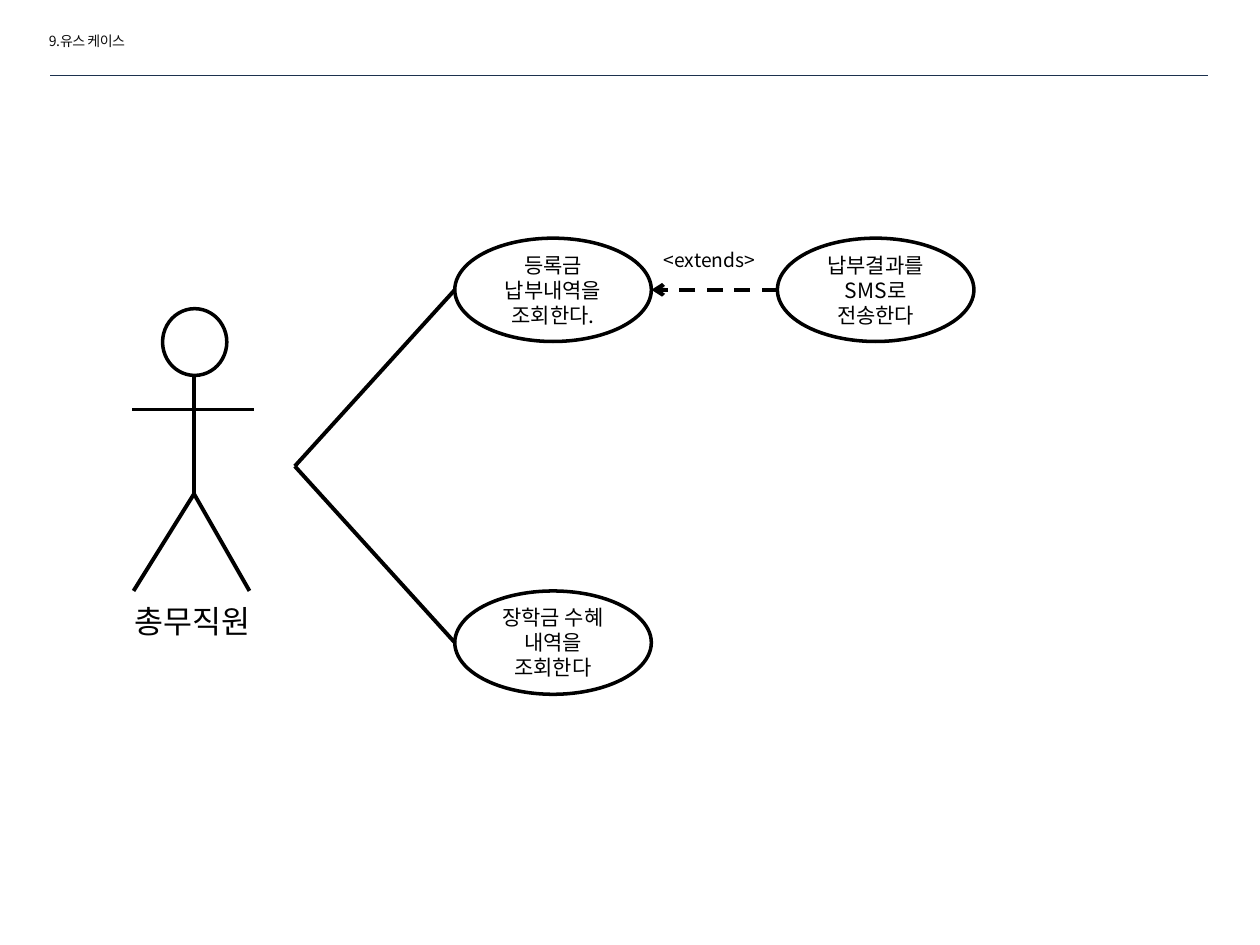
from lxml.etree import SubElement
from pptx import Presentation
from pptx.dml.color import RGBColor
from pptx.enum.dml import MSO_LINE_DASH_STYLE as Dash
from pptx.enum.shapes import MSO_CONNECTOR as Connector, MSO_SHAPE as Shape
from pptx.enum.text import MSO_ANCHOR as Anchor, PP_ALIGN as Align
from pptx.oxml.ns import qn
from pptx.util import Inches, Pt

FONT = "Noto Sans CJK KR"
BLACK = "000000"
WHITE = "FFFFFF"
CASE_WIDTH, CASE_HEIGHT = 1.56, 0.82


def color(value):
    """Turn a hex string into a colour."""
    return RGBColor.from_string(value)


def write(frame, text, size, ink=BLACK, spacing=None):
    """Fill a text frame and format its runs and line breaks."""
    frame.word_wrap = True
    frame.text = text
    for para in frame.paragraphs:
        for span in para.runs:
            span.font.size = Pt(size)
            span.font.color.rgb = color(ink)
            span.font.name = FONT
            props = span.font._element
            SubElement(props, qn("a:ea"), typeface=FONT)
            if spacing is not None:
                props.set("spc", str(round(spacing * 100)))
        for line_break in para._p.findall(qn("a:br")):
            SubElement(line_break, qn("a:rPr"), sz=str(size * 100))


def add_label(page, box, text, size, ink=BLACK, spacing=None):
    """Place a text box."""
    label = page.shapes.add_textbox(*map(Inches, box))
    write(label.text_frame, text, size, ink, spacing)


def add_line(shapes, start, end, width=2.25, ink=BLACK):
    """Draw a straight line without a shadow."""
    line = shapes.add_connector(Connector.STRAIGHT, *map(Inches, (*start, *end)))
    line.line.color.rgb = color(ink)
    line.line.width = Pt(width)
    SubElement(line._element.spPr, qn("a:effectLst"))
    return line


def add_ellipse(shapes, box):
    """Draw an outlined ellipse."""
    ellipse = shapes.add_shape(Shape.OVAL, *map(Inches, box))
    ellipse.shadow.inherit = False
    ellipse.line.color.rgb = color(BLACK)
    ellipse.line.width = Pt(2)
    return ellipse


def add_header(page, left, top, width):
    """Place the section title and the rule below it."""
    add_label(page, (left - 0.11, top, 1.73, 0.24), "9.유스 케이스", 8, "0D0D0D", -0.3)
    rule = top + 0.39
    add_line(page.shapes, (left, rule), (left + width, rule), 0.25, "1C314E")


def add_actor(page, left, top, name):
    """Draw a stick figure with its name underneath."""
    figure = page.shapes.add_group_shape().shapes
    head = add_ellipse(figure, (left + 0.24, top, 0.51, 0.53))
    head.fill.solid()
    head.fill.fore_color.rgb = color(WHITE)
    center, hip, foot = left + 0.49, top + 1.47, top + 2.24
    limbs = [
        ((left, top + 0.8), (left + 0.97, top + 0.8)),
        ((center, top + 0.53), (center, hip)),
        ((center, hip), (left + 0.01, foot)),
        ((center, hip), (left + 0.93, foot)),
    ]
    for start, end in limbs:
        add_line(figure, start, end)
    add_label(page, (left - 0.08, top + 2.28, 1.36, 0.4), name, 18)


def add_use_case(page, left, middle, text):
    """Place a use case ellipse around a middle height."""
    box = (left, middle - CASE_HEIGHT / 2, CASE_WIDTH, CASE_HEIGHT)
    case = add_ellipse(page.shapes, box)
    case.fill.background()
    frame = case.text_frame
    frame.vertical_anchor = Anchor.MIDDLE
    write(frame, text, 12)
    for para in frame.paragraphs:
        para.alignment = Align.CENTER
        para.line_spacing = Pt(14.3)


def add_extension(page, start, end, text):
    """Draw a dashed arrow with its relation above it."""
    arrow = add_line(page.shapes, start, end)
    arrow.line.dash_style = Dash.DASH
    SubElement(arrow.line._get_or_add_ln(), qn("a:tailEnd"), type="arrow")
    add_label(page, (end[0], end[1] - 0.38, 1.04, 0.29), text, 11)


def add_diagram(page, left, top):
    """Place the actor, the use cases and their relations."""
    add_actor(page, left, top + 0.56, "총무직원")
    hub = (left + 1.29, top + 1.81)
    cases_left, upper, lower = left + 2.56, top + 0.41, top + 3.21
    extension_left = cases_left + CASE_WIDTH + 1
    for middle in (upper, lower):
        add_line(page.shapes, hub, (cases_left, middle))
    add_use_case(page, extension_left, upper, "납부결과를\vSMS로\v전송한다")
    add_use_case(page, cases_left, upper, "등록금\n납부내역을\v조회한다.")
    add_use_case(page, cases_left, lower, "장학금 수혜\v내역을\v조회한다")
    add_extension(
        page, (extension_left, upper), (cases_left + CASE_WIDTH, upper), "<extends>"
    )


def main():
    """Build the use case slide."""
    deck = Presentation()
    deck.slide_width, deck.slide_height = Inches(10), Inches(7.5)
    page = deck.slides.add_slide(deck.slide_layouts[6])
    add_header(page, 0.4, 0.21, 9.19)
    add_diagram(page, 1.05, 1.89)
    deck.save("out.pptx")


if __name__ == "__main__":
    main()
